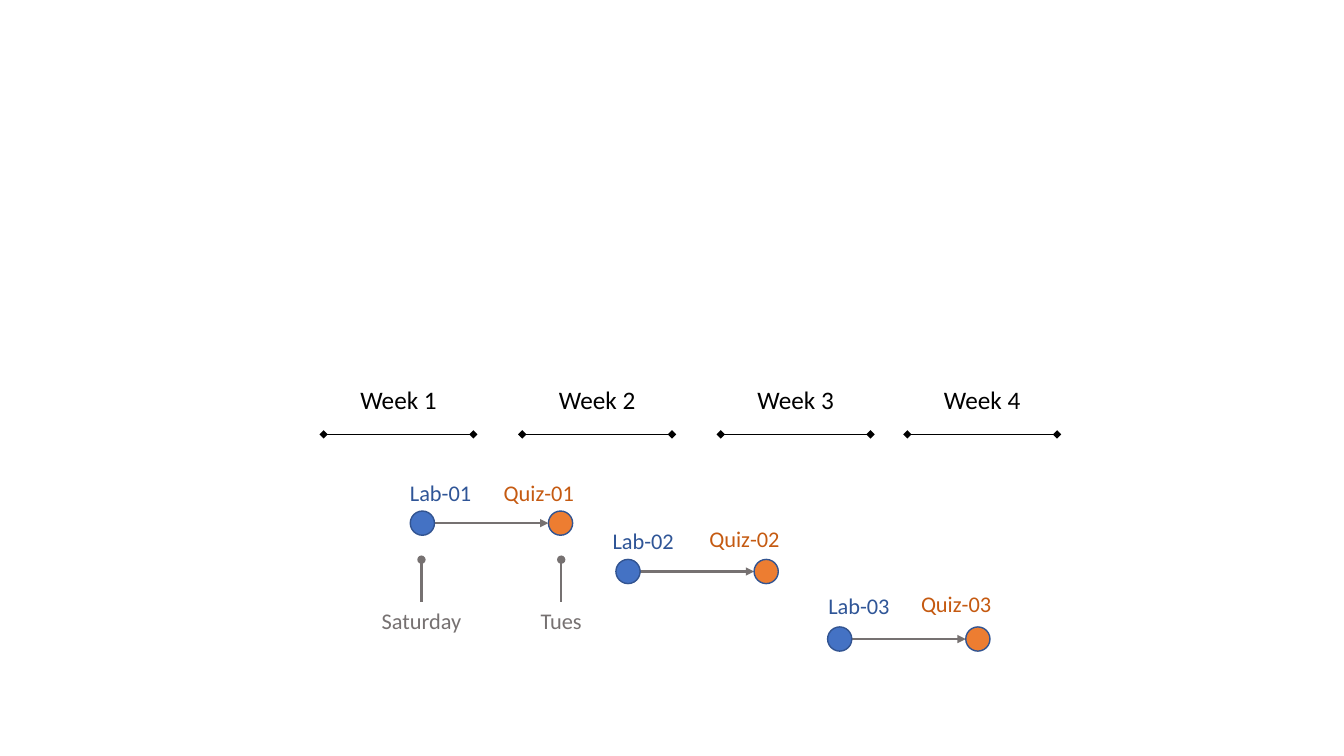
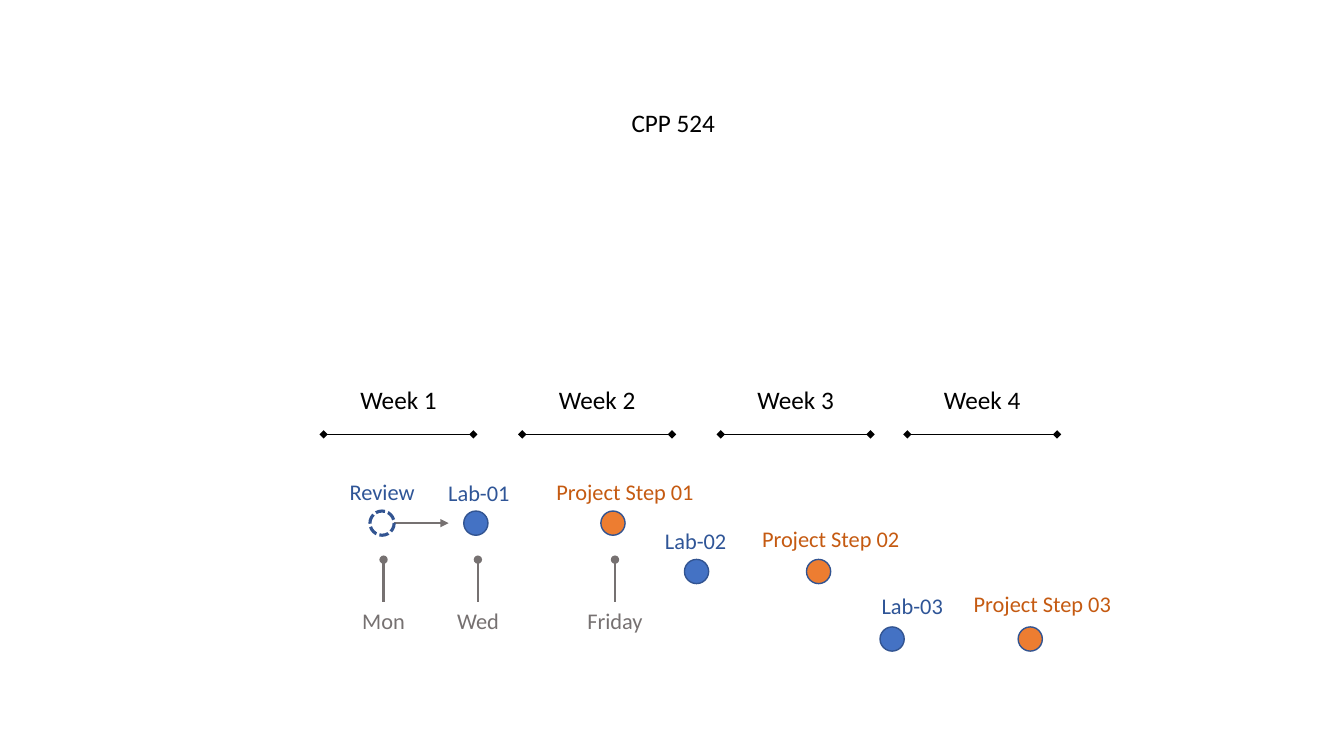
from dataclasses import dataclass
from lxml import etree
from pptx import Presentation
from pptx import util as u
from pptx.dml.color import RGBColor
from pptx.enum import dml, shapes, text
from pptx.oxml.ns import qn


@dataclass(frozen=True)
class Theme:
    font: str = "Calibri"
    head: float = 18
    label: float = 16
    ink: str = "000000"
    grey: str = "767171"
    blue: str = "4472C4"
    orange: str = "ED7D31"
    outline: str = "325491"
    blue_text: str = "2F5597"
    orange_text: str = "C55A11"
    thin: float = 0.5
    edge: float = 1
    stroke: float = 1.75
    dashed: float = 2.25


@dataclass(frozen=True)
class Box:
    left: float
    top: float

    def at(self, col, row):
        return cols(self.left + col), rows(self.top + row)


T = Theme()
prs = Presentation()
prs.slide_width, prs.slide_height = u.Inches(40 / 3), u.Inches(7.5)
COL, ROW = prs.slide_width / 100, prs.slide_height / 100

TITLE = Box(46.2, 13.47)
TIMELINE = Box(24.08, 50.13)
WEEK_STARTS = (0, 14.78, 29.55, 43.43)
WEEK_SPAN, WEEK_ROW = 11.14, 7.33
DOT = 1.8
TRACKS = (19.07, 25.47, 34.4)
DAY_ROW, PIN_ROW = 29.47, 23.9
HEAD_HEIGHT, LABEL_HEIGHT = 5.33, 4.93
KINDS = {
    "lab": (T.blue, T.blue_text, 6.15),
    "quiz": (T.orange, T.orange_text, 6.83),
    "step": (T.orange, T.orange_text, 11.85),
    "review": (None, T.blue_text, 6.45),
}


def cols(n):
    return round(n * COL)


def rows(n):
    return round(n * ROW)


def apply(obj, values):
    for name, value in values.items():
        setattr(obj, name, value)


def write(sp, words, size, color):
    tf = sp.text_frame
    apply(tf, {"word_wrap": False, "auto_size": text.MSO_AUTO_SIZE.SHAPE_TO_FIT_TEXT,
               "vertical_anchor": text.MSO_ANCHOR.TOP})
    p = tf.paragraphs[0]
    p.alignment = text.PP_ALIGN.CENTER
    r = p.add_run()
    r.text = words
    apply(r.font, {"name": T.font, "size": u.Pt(size)})
    r.font.color.rgb = RGBColor.from_string(color)


def label(s, box, words, center, row, width, color, size=T.label, height=LABEL_HEIGHT):
    left, top = box.at(center - width / 2, row)
    sp = s.shapes.add_textbox(left, top, cols(width), rows(height))
    write(sp, words, size, color)


def line(s, box, start, end, color, width, **ends):
    sp = s.shapes.add_connector(shapes.MSO_CONNECTOR.STRAIGHT, *box.at(*start), *box.at(*end))
    sp.line.color.rgb = RGBColor.from_string(color)
    sp.line.width = u.Pt(width)
    ln = sp.line._get_or_add_ln()
    for tag, kind in ends.items():
        etree.SubElement(ln, qn(f"a:{tag}"), type=kind)
    etree.SubElement(ln.getparent(), qn("a:effectLst"))


def dot(s, box, center, row, fill):
    size = cols(DOT)
    x, y = box.at(center, row)
    sp = s.shapes.add_shape(shapes.MSO_SHAPE.OVAL, x - size // 2, y - size // 2, size, size)
    sp.shadow.inherit = False
    sp.line.color.rgb = RGBColor.from_string(T.outline)
    if fill:
        sp.fill.solid()
        sp.fill.fore_color.rgb = RGBColor.from_string(fill)
        sp.line.width = u.Pt(T.edge)
    else:
        sp.fill.background()
        apply(sp.line, {"width": u.Pt(T.dashed), "dash_style": dml.MSO_LINE.SQUARE_DOT})


def title(s, box, words):
    sp = s.shapes.title
    left, top = box.at(0, 0)
    apply(sp, {"left": left, "top": top, "width": cols(7.8), "height": rows(HEAD_HEIGHT)})
    write(sp, words, T.head, T.ink)


def weeks(s, box):
    for n, start in enumerate(WEEK_STARTS, 1):
        line(s, box, (start, WEEK_ROW), (start + WEEK_SPAN, WEEK_ROW), T.ink, T.thin,
             headEnd="diamond", tailEnd="diamond")
        label(s, box, f"Week {n}", start + WEEK_SPAN / 2, 0, 7.28, T.ink, T.head, HEAD_HEIGHT)


def milestones(s, box, items):
    for words, kind, track, center, label_center, label_row in items:
        fill, color, width = KINDS[kind]
        dot(s, box, center, TRACKS[track], fill)
        label(s, box, words, label_center, label_row, width, color)


def arrows(s, box, spans):
    for track, start, end in spans:
        line(s, box, (start + DOT / 2, TRACKS[track]), (end, TRACKS[track]),
             T.grey, T.stroke, tailEnd="triangle")


def days(s, box, items):
    for words, center, width in items:
        line(s, box, (center, DAY_ROW), (center, PIN_ROW), T.grey, T.stroke, tailEnd="oval")
        label(s, box, words, center, DAY_ROW, width, T.grey)


def timeline(s, box, items, spans, day_items):
    weeks(s, box)
    arrows(s, box, spans)
    milestones(s, box, items)
    days(s, box, day_items)


QUIZ_GAP = 10.28
LAB_CENTERS = (7.35, 22.65, 38.4)
quiz_plan = [
    ("Lab-01", "lab", 0, LAB_CENTERS[0], 8.7, 12.53),
    ("Quiz-01", "quiz", 0, LAB_CENTERS[0] + QUIZ_GAP, 16.01, 12.53),
    ("Lab-02", "lab", 1, LAB_CENTERS[1], 23.78, 18.93),
    ("Quiz-02", "quiz", 1, LAB_CENTERS[1] + QUIZ_GAP, 31.31, 18.67),
    ("Lab-03", "lab", 2, LAB_CENTERS[2], 39.83, 27.47),
    ("Quiz-03", "quiz", 2, LAB_CENTERS[2] + QUIZ_GAP, 47.06, 27.33),
]
quiz_arrows = [(n, x, x + QUIZ_GAP - DOT / 2) for n, x in enumerate(LAB_CENTERS)]
quiz_days = [("Saturday", 7.28, 7.5), ("Tues", 17.68, 4.58)]

project_plan = [
    ("Review", "review", 0, 4.35, 4.35, 12.4),
    ("Lab-01", "lab", 0, 11.33, 11.55, 12.53),
    ("Project Step 01", "step", 0, 21.53, 22.43, 12.4),
    ("Lab-02", "lab", 1, 27.75, 27.68, 18.93),
    ("Project Step 02", "step", 1, 36.83, 37.73, 18.67),
    ("Lab-03", "lab", 2, 42.3, 43.8, 27.47),
    ("Project Step 03", "step", 2, 52.58, 53.48, 27.33),
]
project_arrows = [(0, 4.35, 9.3)]
project_days = [("Mon", 4.46, 4.73), ("Wed", 11.48, 4.65), ("Friday", 21.68, 5.7)]

TITLE_ONLY, BLANK = prs.slide_layouts[5], prs.slide_layouts[6]
s = prs.slides.add_slide(BLANK)
timeline(s, TIMELINE, quiz_plan, quiz_arrows, quiz_days)

s = prs.slides.add_slide(TITLE_ONLY)
title(s, TITLE, "CPP 524")
timeline(s, TIMELINE, project_plan, project_arrows, project_days)

prs.save("out.pptx")
